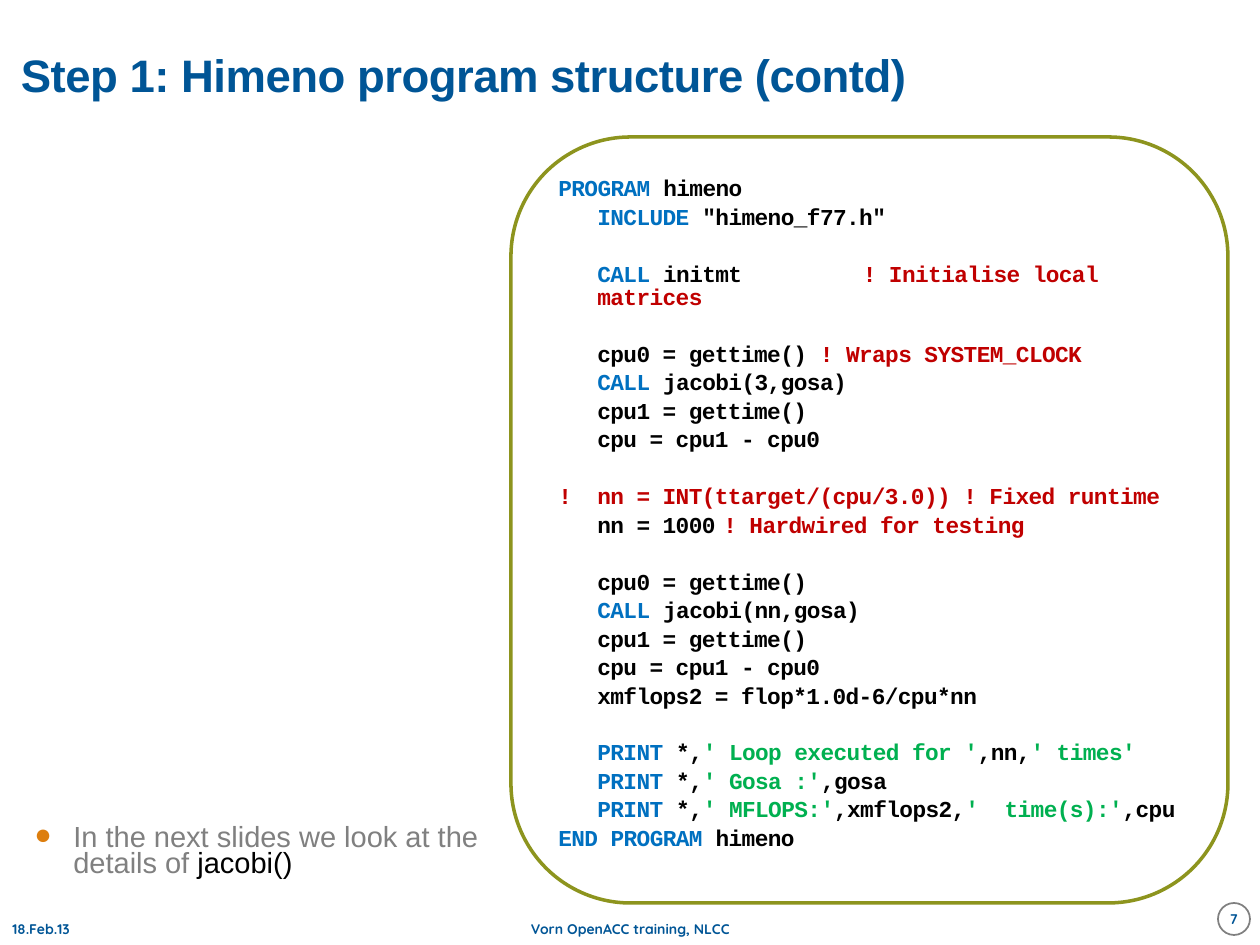
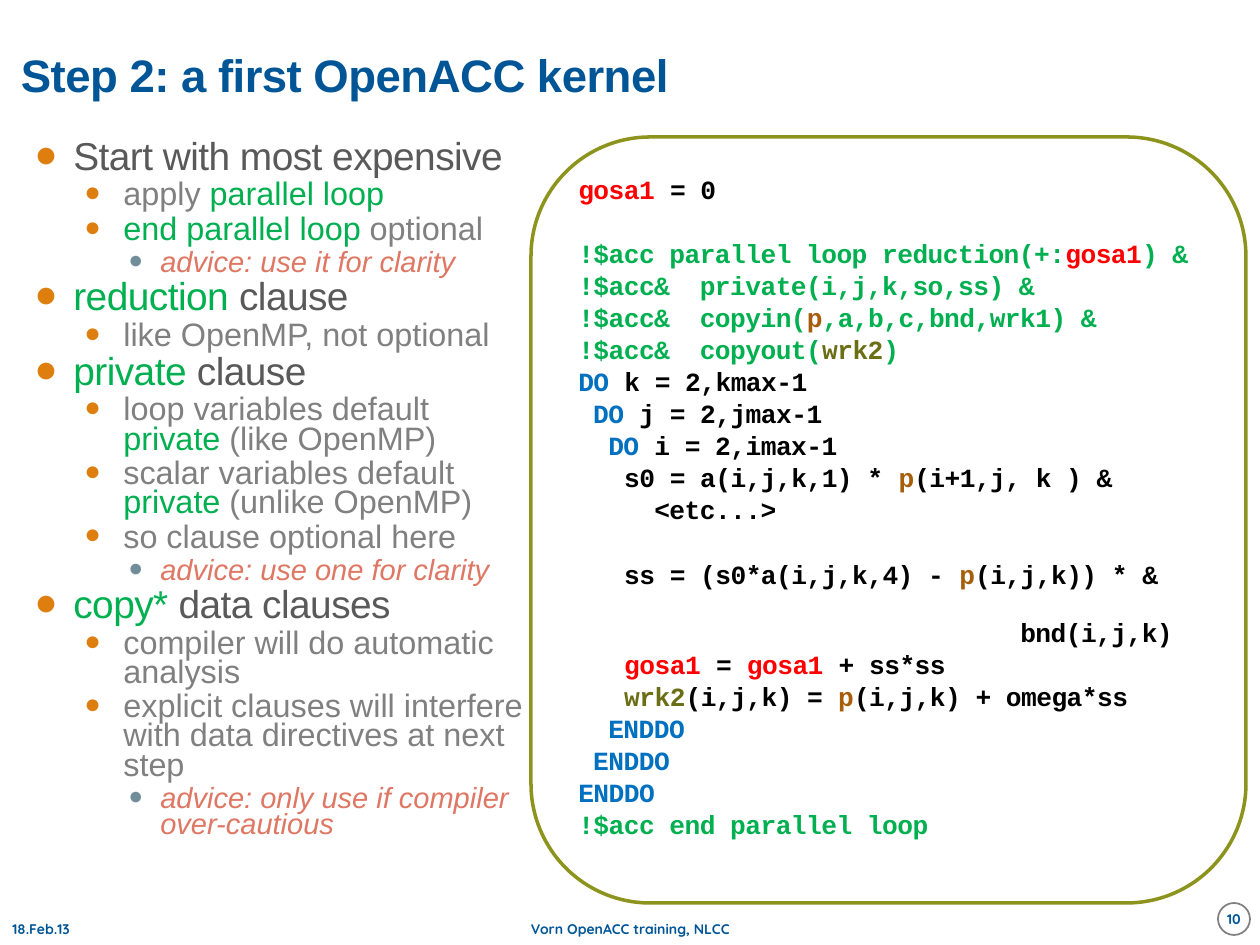
import dataclasses

import lxml.etree
import pptx
import pptx.dml.color
import pptx.enum.shapes
import pptx.enum.text
import pptx.oxml.ns
import pptx.util

PX_PER_INCH = 126
PX = 914400 / PX_PER_INCH
ALIGN = pptx.enum.text.PP_ALIGN
ANCHOR = pptx.enum.text.MSO_ANCHOR
SHAPE = pptx.enum.shapes.MSO_SHAPE


@dataclasses.dataclass(frozen=True)
class Level:
    depth: int
    margin: int
    hang: int
    size: float
    color: str
    bullet_color: str
    bullet_percent: int = 85
    tracking: float = 0
    italic: bool = False


@dataclasses.dataclass(frozen=True)
class Theme:
    heading_font: str = "Arial"
    code_font: str = "Courier New"
    footer_font: str = "Quicksand"
    title_size: float = 26
    footer_size: float = 8
    tracking: float = -0.3
    gap: float = 1.5
    code_spacing: float = 0.85
    body_spacing: float = 0.75
    brand: str = "005596"
    white: str = "FFFFFF"
    ring: str = "808080"
    frame: str = "8D941E"
    plain: str = "000000"
    keyword: str = "0070C0"
    remark: str = "C00000"
    green: str = "00B050"
    red: str = "FF0000"
    brown: str = "A65E0B"
    olive: str = "6A6F16"


THEME = Theme()
KEYWORD, REMARK, GREEN = THEME.keyword, THEME.remark, THEME.green
RED, BROWN, OLIVE = THEME.red, THEME.brown, THEME.olive
TOPIC = Level(0, 39, 39, 22.2, "595959", "DD7E0E", 100, THEME.tracking)
POINT = Level(1, 89, 39, 18.5, "808080", "DD7E0E")
ADVICE = Level(2, 126, 32, 16.6, "DE7763", "728D9A", italic=True)
CLOSING = Level(2, 39, 39, 16.6, "808080", "DD7E0E", 100)


@dataclasses.dataclass(frozen=True)
class Code:
    indent: int
    runs: tuple
    lead: float = 0
    hang: int = 0


def code(indent, *runs, lead=0, hang=0):
    return Code(indent, runs, lead, hang)


HIMENO_PROGRAM = [
    code(0, (KEYWORD, "PROGRAM "), "himeno"),
    code(3, (KEYWORD, "INCLUDE"), ' "himeno_f77.h"'),
    code(3, (KEYWORD, "CALL "), "initmt\t ", (REMARK, "! Initialise local matrices"), lead=1),
    code(3, "cpu0 = gettime() ", (REMARK, "! Wraps SYSTEM_CLOCK"), lead=1),
    code(3, (KEYWORD, "CALL "), "jacobi(3,gosa)"),
    code(3, "cpu1 = gettime()"),
    code(3, "cpu = cpu1 - cpu0"),
    code(3, (REMARK, "!\tnn = INT(ttarget/(cpu/3.0)) ! Fixed runtime"), lead=1, hang=3),
    code(3, "nn = 1000\t", (REMARK, "! Hardwired for testing")),
    code(3, "cpu0 = gettime()", lead=1),
    code(3, (KEYWORD, "CALL "), "jacobi(nn,gosa)"),
    code(3, "cpu1 = gettime()"),
    code(3, "cpu = cpu1 - cpu0"),
    code(3, "xmflops2 = flop*1.0d-6/cpu*nn"),
    code(3, (KEYWORD, "PRINT"), " *,", (GREEN, "' Loop executed for '"), ",nn,",
         (GREEN, "' times'"), lead=1),
    code(3, (KEYWORD, "PRINT"), " *,", (GREEN, "' Gosa :'"), ",gosa"),
    code(3, (KEYWORD, "PRINT"), " *,", (GREEN, "' MFLOPS:'"), ",xmflops2,",
         (GREEN, "'  time(s):'"), ",cpu"),
    code(0, (KEYWORD, "END PROGRAM "), "himeno"),
]

KERNEL = [
    code(0, (RED, "gosa1"), " = 0"),
    code(0, (GREEN, "!$acc parallel loop reduction(+:"), (RED, "gosa1"), (GREEN, ") &"), lead=1),
    code(0, (GREEN, "!$acc&  private(i,j,k,so,ss) &")),
    code(0, (GREEN, "!$acc&  copyin("), (BROWN, "p"), (GREEN, ",a,b,c,bnd,wrk1) &")),
    code(0, (GREEN, "!$acc&  copyout("), (OLIVE, "wrk2"), (GREEN, ")")),
    code(0, (KEYWORD, "DO"), " k = 2,kmax-1"),
    code(1, (KEYWORD, "DO"), " j = 2,jmax-1"),
    code(2, (KEYWORD, "DO "), "i = 2,imax-1"),
    code(3, "s0 = a(i,j,k,1) * ", (BROWN, "p"), "(i+1,j, k ) &"),
    code(5, "<etc...>"),
    code(3, "ss = (s0*a(i,j,k,4) - ", (BROWN, "p"), "(i,j,k)) * &", lead=1),
    code(29, "bnd(i,j,k)", lead=0.83),
    code(3, (RED, "gosa1 "), "= ", (RED, "gosa1 "), "+ ss*ss"),
    code(3, (OLIVE, "wrk2"), "(i,j,k) = ", (BROWN, "p"), "(i,j,k) + omega*ss"),
    code(2, (KEYWORD, "ENDDO")),
    code(1, (KEYWORD, "ENDDO")),
    code(0, (KEYWORD, "ENDDO")),
    code(0, (GREEN, "!$acc end parallel loop")),
]

NEXT_STEP = [
    (CLOSING, "In the next slides we look at the details of ", (THEME.plain, "jacobi()")),
]

CLAUSES = [
    (TOPIC, "Start with most expensive"),
    (POINT, "apply ", (GREEN, "parallel loop")),
    (POINT, (GREEN, "end parallel loop"), " optional"),
    (ADVICE, "advice: use it for clarity"),
    (TOPIC, (GREEN, "reduction"), " clause"),
    (POINT, "like OpenMP, not optional"),
    (TOPIC, (GREEN, "private"), " clause"),
    (POINT, "loop variables default ", (GREEN, "private"), " (like OpenMP)"),
    (POINT, "scalar variables default ", (GREEN, "private"), " (unlike OpenMP)"),
    (POINT, "so clause optional here"),
    (ADVICE, "advice: use one for clarity"),
    (TOPIC, (GREEN, "copy*"), " data clauses"),
    (POINT, "compiler will do automatic analysis"),
    (POINT, "explicit clauses will interfere with data directives at next step"),
    (ADVICE, "advice: only use if compiler over-cautious"),
]


def emu(px):
    return round(px * PX)


def rgb(color):
    return pptx.dml.color.RGBColor.from_string(color)


def add_runs(paragraph, runs, font, size, color, bold=False, italic=False, tracking=0):
    for part in runs:
        run_color, words = (color, part) if isinstance(part, str) else part
        run = paragraph.add_run()
        run.text = words
        run.font.name = font
        run.font.size = pptx.util.Pt(size)
        run.font.bold = bold
        run.font.italic = italic
        run.font.color.rgb = rgb(run_color)
        run._r.get_or_add_rPr().set("spc", str(round(tracking * 100)))


def prepare(frame, anchor, inset=True):
    frame.word_wrap = True
    frame.vertical_anchor = anchor
    if not inset:
        frame.margin_left = frame.margin_right = 0
        frame.margin_top = frame.margin_bottom = 0
    return frame


def add_text_area(slide, box, anchor=ANCHOR.MIDDLE, inset=True):
    return prepare(slide.shapes.add_textbox(*map(emu, box)).text_frame, anchor, inset)


def add_outlined(slide, kind, box, line_color, line_width, anchor, inset=True):
    outline = slide.shapes.add_shape(kind, *map(emu, box))
    outline.shadow.inherit = False
    outline.fill.solid()
    outline.fill.fore_color.rgb = rgb(THEME.white)
    outline.line.color.rgb = rgb(line_color)
    outline.line.width = pptx.util.Pt(line_width)
    return prepare(outline.text_frame, anchor, inset)


def paragraphs(frame, items):
    for index, item in enumerate(items):
        yield (frame.add_paragraph() if index else frame.paragraphs[0]), item


def set_layout(paragraph, margin, hang, spacing, lead=0):
    paragraph.alignment = ALIGN.LEFT
    paragraph.line_spacing = spacing
    paragraph.space_before = pptx.util.Pt(round(THEME.gap + lead, 2))
    paragraph.space_after = pptx.util.Pt(THEME.gap)
    properties = paragraph._p.get_or_add_pPr()
    properties.set("marL", str(emu(margin)))
    properties.set("indent", str(-emu(hang)))
    properties.set("defTabSz", str(emu(PX_PER_INCH)))
    return properties


def add_bullet(properties, level):
    def child(parent, tag, **attributes):
        return lxml.etree.SubElement(parent, pptx.oxml.ns.qn(tag), **attributes)

    child(child(properties, "a:buClr"), "a:srgbClr", val=level.bullet_color)
    child(properties, "a:buSzPct", val=str(level.bullet_percent * 1000))
    child(properties, "a:buFont", typeface=THEME.heading_font)
    child(properties, "a:buChar", char="●")


def add_title(slide, box, title):
    heading = add_text_area(slide, box, inset=False).paragraphs[0]
    heading.line_spacing = THEME.code_spacing
    add_runs(heading, [title], THEME.heading_font, THEME.title_size, THEME.brand,
             bold=True, tracking=THEME.tracking)


def add_footer(slide, box, number):
    left, top, width, height = box
    date = add_text_area(slide, (left, top, 294, height))
    course = add_text_area(slide, (left + (width - 399) // 2 + 1, top, 399, height))
    page = add_outlined(slide, SHAPE.OVAL, (left + width - 42, top - 10, 32, 32),
                        THEME.ring, 1, ANCHOR.MIDDLE, inset=False)
    for frame, words, alignment in (
        (date, "18.Feb.13", ALIGN.LEFT),
        (course, "Vorn OpenACC training, NLCC", ALIGN.CENTER),
        (page, str(number), ALIGN.CENTER),
    ):
        frame.paragraphs[0].alignment = alignment
        add_runs(frame.paragraphs[0], [words], THEME.footer_font, THEME.footer_size,
                 THEME.brand, bold=True)


def add_bullets(slide, box, bullets):
    frame = add_text_area(slide, box, ANCHOR.TOP)
    for paragraph, (level, *runs) in paragraphs(frame, bullets):
        paragraph.level = level.depth
        properties = set_layout(paragraph, level.margin, level.hang, THEME.body_spacing)
        add_bullet(properties, level)
        add_runs(paragraph, runs, THEME.heading_font, level.size, level.color,
                 italic=level.italic, tracking=level.tracking)


def add_listing(slide, box, lines, size):
    frame = add_outlined(slide, SHAPE.ROUNDED_RECTANGLE, box, THEME.frame, 2, ANCHOR.TOP)
    character = (size * 0.6 + THEME.tracking) * PX_PER_INCH / 72
    line_height = size * 1.02 + 2 * THEME.gap
    for paragraph, line in paragraphs(frame, lines):
        set_layout(paragraph, round(line.indent * character), round(line.hang * character),
                   THEME.code_spacing, line.lead * line_height)
        add_runs(paragraph, line.runs, THEME.code_font, size, THEME.plain,
                 bold=True, tracking=THEME.tracking)


def add_code_slide(deck, number, title, bullets, bullet_box, listing, listing_box, code_size):
    slide = deck.slides.add_slide(deck.slide_layouts[6])
    add_title(slide, (21, 21, 1008, 116), title)
    add_bullets(slide, bullet_box, bullets)
    add_listing(slide, listing_box, listing, code_size)
    add_footer(slide, (0, 913, 1260, 32), number)


def main():
    deck = pptx.Presentation()
    deck.slide_width = emu(1260)
    deck.slide_height = emu(945)
    add_code_slide(deck, 7, "Step 1: Himeno program structure (contd)",
                   NEXT_STEP, (22, 820, 525, 73), HIMENO_PROGRAM, (511, 137, 717, 766), 13)
    add_code_slide(deck, 10, "Step 2: a first OpenACC kernel",
                   CLAUSES, (22, 136, 525, 756), KERNEL, (531, 137, 715, 766), 15)
    deck.save("out.pptx")


if __name__ == "__main__":
    main()
